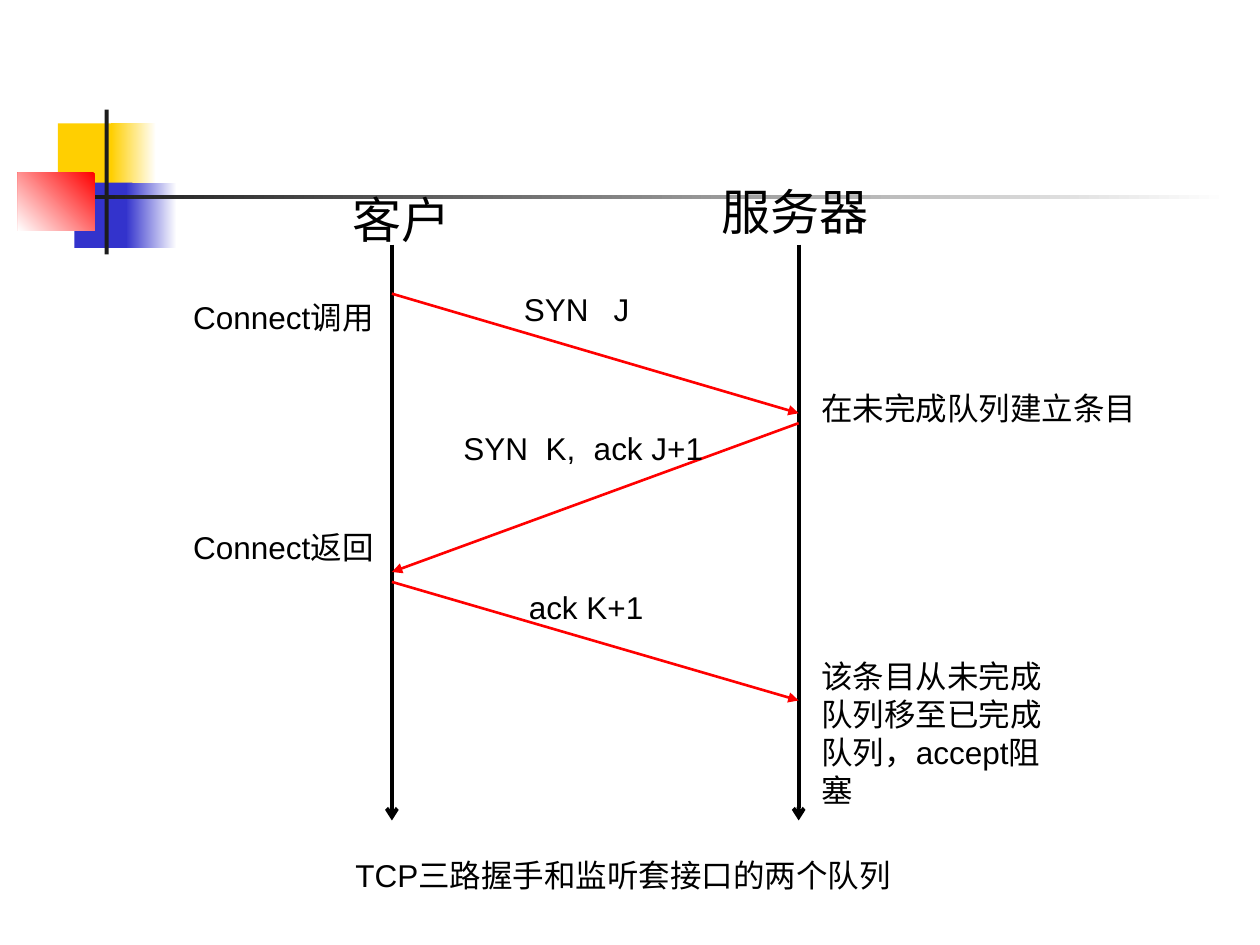
from lxml import etree
from pptx import Presentation
from pptx.dml.color import RGBColor
from pptx.enum.shapes import MSO_CONNECTOR, MSO_SHAPE
from pptx.enum.text import MSO_ANCHOR, MSO_AUTO_SIZE, PP_ALIGN
from pptx.oxml.ns import qn
from pptx.util import Cm, Pt

STRAIGHT = MSO_CONNECTOR.STRAIGHT
RECTANGLE = MSO_SHAPE.RECTANGLE
TOP = MSO_ANCHOR.TOP
GROW = MSO_AUTO_SIZE.SHAPE_TO_FIT_TEXT
LEFT, RIGHT = PP_ALIGN.LEFT, PP_ALIGN.RIGHT

FONT = "Arial"
BLACK, WHITE, RED = "000000", "FFFFFF", "FF0000"
YELLOW, BLUE, CHARCOAL = "FFCF01", "3333CC", "1C1C1C"
CLIENT_X, SERVER_X = 7.9, 16.1
LIFELINE_TOP, LIFELINE_BOTTOM = 4.93, 16.54
LABEL_HEIGHT = 1.02

ORNAMENT = [
    ((1.17, 2.49, 1.22, 1.32), [YELLOW], 0),
    ((2.24, 2.49, 0.91, 1.32), [WHITE, YELLOW], 180),
    ((1.5, 3.68, 1.17, 1.32), [BLUE], 0),
    ((2.54, 3.68, 1.02, 1.32), [WHITE, BLUE], 180),
    ((0.36, 3.48, 1.55, 1.17), [RED, WHITE], 225),
    ((2.11, 2.21, 0.08, 2.92), [CHARCOAL], 0),
    ((1.91, 3.94, 22.86, 0.08), [WHITE, CHARCOAL], 180),
]
MESSAGES = [
    (CLIENT_X, 5.92, SERVER_X, 8.33),
    (CLIENT_X, 11.73, SERVER_X, 14.12),
    (SERVER_X, 8.53, CLIENT_X, 11.53),
]
HEADINGS = [
    ("客户", (6.86, 3.7, 2.7, 1.45)),
    ("服务器", (14.3, 3.53, 3.7, 1.45)),
]
LABELS = [
    ("Connect调用", (2.29, 5.89, 5.49, LABEL_HEIGHT), RIGHT, []),
    ("Connect返回", (2.29, 10.52, 5.49, LABEL_HEIGHT), RIGHT, []),
    ("SYN\tJ", (10.31, 5.72, 5.49, LABEL_HEIGHT), LEFT, [1.81]),
    ("SYN\tK,\tack J+1", (9.09, 8.53, 5.49, LABEL_HEIGHT), LEFT, [1.66, 2.63]),
    ("ack K+1", (10.41, 11.73, 5.49, LABEL_HEIGHT), LEFT, []),
    ("在未完成队列建立条目", (16.31, 7.72, 7.21, LABEL_HEIGHT), LEFT, []),
    ("该条目从未完成队列移至已完成队列，accept阻塞",
     (16.31, 13.13, 5.49, 3.3), LEFT, []),
]
CAPTION = "TCP三路握手和监听套接口的两个队列"
CAPTION_BOX = (6.91, 17.12, 13.79, LABEL_HEIGHT)


def color(value):
    return RGBColor.from_string(value)


def lengths(values):
    return [Cm(value) for value in values]


def add_block(slide, box, colors, angle):
    shape = slide.shapes.add_shape(RECTANGLE, *lengths(box))
    shape.shadow.inherit = False
    shape.line.fill.background()
    if len(colors) == 1:
        shape.fill.solid()
        shape.fill.fore_color.rgb = color(colors[0])
        return
    shape.fill.gradient()
    shape.fill.gradient_angle = angle
    for stop, value in zip(shape.fill.gradient_stops, colors):
        stop.color.rgb = color(value)


def add_arrow(slide, ends, line_color, width, head):
    connector = slide.shapes.add_connector(STRAIGHT, *lengths(ends))
    connector.line.color.rgb = color(line_color)
    connector.line.width = Pt(width)
    properties = connector._element.spPr
    etree.SubElement(properties.find(qn("a:ln")), qn("a:tailEnd"), type=head)
    etree.SubElement(properties, qn("a:effectLst"))


def write_text(shape, text, size, alignment=LEFT, tabs=()):
    frame = shape.text_frame
    frame.text = text
    frame.word_wrap = True
    frame.auto_size = GROW
    frame.vertical_anchor = TOP
    paragraph = frame.paragraphs[0]
    paragraph.alignment = alignment
    if tabs:
        tab_list = etree.SubElement(
            paragraph._p.get_or_add_pPr(), qn("a:tabLst"))
        for position in tabs:
            etree.SubElement(
                tab_list, qn("a:tab"), pos=str(Cm(position)), algn="l")
    paragraph.font.name = FONT
    paragraph.font.size = Pt(size)
    paragraph.font.color.rgb = color(BLACK)


def add_label(slide, text, box, size=18, **options):
    shape = slide.shapes.add_textbox(*lengths(box))
    write_text(shape, text, size, **options)


def add_caption(slide):
    title = slide.shapes.title
    title.left, title.top, title.width, title.height = lengths(CAPTION_BOX)
    write_text(title, CAPTION, 18)


def main():
    presentation = Presentation()
    presentation.slide_width = Cm(25.4)
    presentation.slide_height = Cm(19.05)
    slide = presentation.slides.add_slide(presentation.slide_layouts[5])
    for box, colors, angle in ORNAMENT:
        add_block(slide, box, colors, angle)
    for x in (CLIENT_X, SERVER_X):
        add_arrow(slide, (x, LIFELINE_TOP, x, LIFELINE_BOTTOM),
                  BLACK, 2.25, "arrow")
    for ends in MESSAGES:
        add_arrow(slide, ends, RED, 1.5, "triangle")
    for text, box in HEADINGS:
        add_label(slide, text, box, size=28)
    for text, box, alignment, tabs in LABELS:
        add_label(slide, text, box, alignment=alignment, tabs=tabs)
    add_caption(slide)
    presentation.save("out.pptx")


if __name__ == "__main__":
    main()
